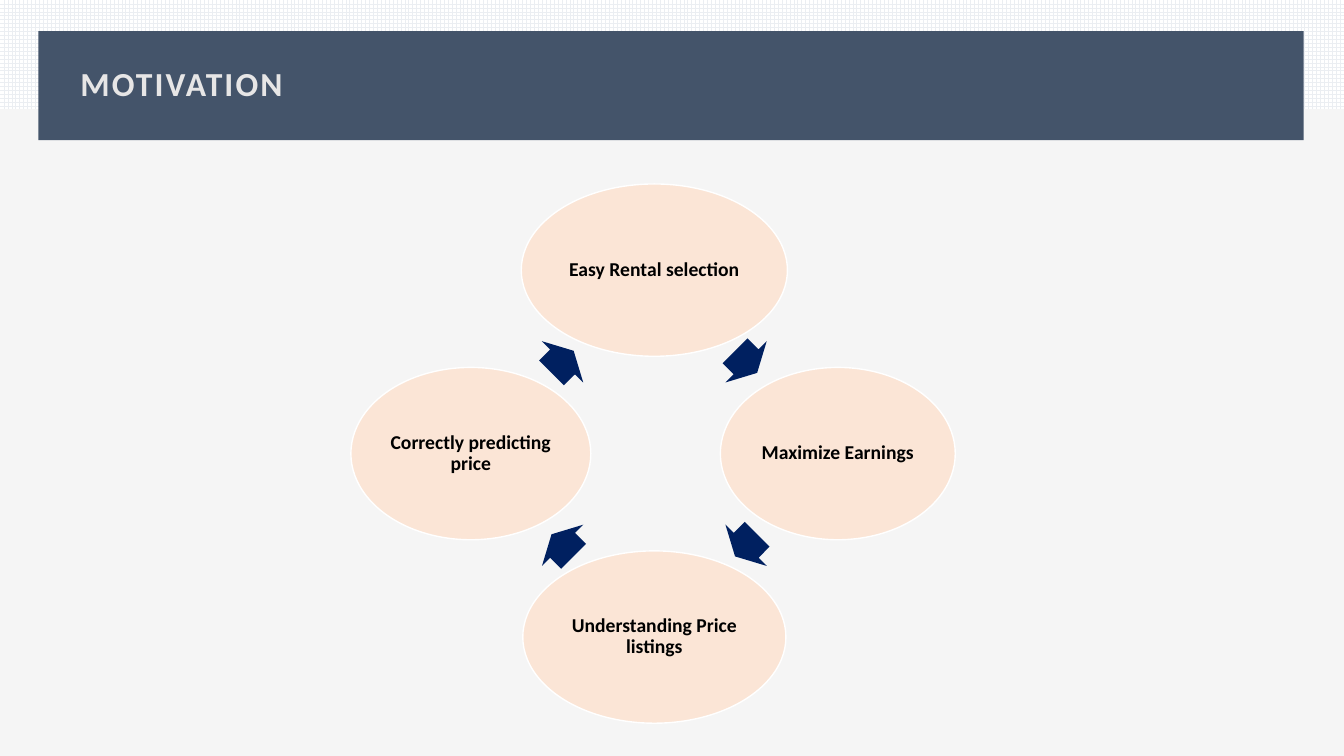
from dataclasses import dataclass
from math import cos, radians, sin, sqrt

from pptx import Presentation
from pptx.dml.color import RGBColor
from pptx.enum.dml import MSO_PATTERN
from pptx.enum.shapes import MSO_SHAPE
from pptx.enum.text import MSO_ANCHOR, PP_ALIGN
from pptx.util import Inches, Pt


@dataclass(frozen=True)
class Theme:
    font: str = "Calibri"
    background: str = "F5F5F5"
    grid: str = "EBEEF2"
    white: str = "FFFFFF"
    banner: str = "44546A"
    title: str = "E7E6E6"
    step: str = "FBE5D6"
    step_text: str = "000000"
    arrow: str = "002060"
    title_size: int = 24
    step_size: int = 14


THEME = Theme()

CYCLE_X, CYCLE_Y = 6.49, 4.5
CYCLE_RADIUS = 1.82
ARROW_RADIUS = CYCLE_RADIUS / sqrt(2)
STEP_HEIGHT = 1.71
ARROW_SIZE = (0.31, 0.58)

# Clockwise from the top: label and ellipse width in inches
STEPS = [
    ("Easy Rental selection", 2.64),
    ("Maximize Earnings", 2.33),
    ("Understanding Price listings", 2.61),
    ("Correctly predicting price", 2.38),
]


def rgb(value):
    return RGBColor.from_string(value)


def add_shape(slide, kind, left, top, width, height, fill):
    sp = slide.shapes.add_shape(
        kind, Inches(left), Inches(top), Inches(width), Inches(height))
    sp.shadow.inherit = False
    sp.fill.solid()
    sp.fill.fore_color.rgb = rgb(fill)
    sp.line.fill.background()
    return sp


def add_on_cycle(slide, kind, angle, radius, width, height, fill):
    """Centre a shape on the cycle; angles run clockwise from the right."""
    x = CYCLE_X + radius * cos(radians(angle))
    y = CYCLE_Y + radius * sin(radians(angle))
    return add_shape(
        slide, kind, x - width / 2, y - height / 2, width, height, fill)


def write(sp, text, size, color, align):
    tf = sp.text_frame
    tf.word_wrap = True
    tf.vertical_anchor = MSO_ANCHOR.MIDDLE
    p = tf.paragraphs[0]
    p.alignment = align
    p.line_spacing = 0.9
    r = p.add_run()
    r.text = text
    r.font.name = THEME.font
    r.font.size = Pt(size)
    r.font.bold = True
    r.font.color.rgb = rgb(color)
    return r


def add_grid_strip(slide):
    sp = add_shape(slide, MSO_SHAPE.RECTANGLE, 0, 0, 13.33, 1.08, THEME.white)
    sp.fill.patterned()
    sp.fill.pattern = MSO_PATTERN.LARGE_GRID
    sp.fill.fore_color.rgb = rgb(THEME.grid)
    sp.fill.back_color.rgb = rgb(THEME.white)


def add_title(slide, text):
    add_shape(slide, MSO_SHAPE.RECTANGLE, 0.38, 0.31, 12.55, 1.08, THEME.banner)
    box = slide.shapes.add_textbox(
        Inches(0.7), Inches(0.53), Inches(11.93), Inches(0.64))
    r = write(box, text, THEME.title_size, THEME.title, PP_ALIGN.LEFT)
    r.font._element.set("spc", "150")


def add_step(slide, text, angle, width):
    sp = add_on_cycle(slide, MSO_SHAPE.OVAL, angle, CYCLE_RADIUS,
                      width, STEP_HEIGHT, THEME.step)
    sp.line.color.rgb = rgb(THEME.white)
    sp.line.width = Pt(1)
    tf = sp.text_frame
    tf.margin_left = tf.margin_right = Inches(0.02)
    tf.margin_top = tf.margin_bottom = Inches(0.02)
    write(sp, text, THEME.step_size, THEME.step_text, PP_ALIGN.CENTER)


def add_arrow(slide, angle):
    """Add an arrow that points clockwise along the cycle."""
    sp = add_on_cycle(slide, MSO_SHAPE.RIGHT_ARROW, angle, ARROW_RADIUS,
                      *ARROW_SIZE, THEME.arrow)
    sp.adjustments[0] = 0.6
    sp.adjustments[1] = 0.5
    sp.rotation = (angle + 90) % 360


def main():
    prs = Presentation()
    prs.slide_width = Inches(13.33)
    prs.slide_height = Inches(7.5)
    slide = prs.slides.add_slide(prs.slide_layouts[6])
    slide.background.fill.solid()
    slide.background.fill.fore_color.rgb = rgb(THEME.background)

    add_grid_strip(slide)
    add_title(slide, "MOTIVATION")
    turn = 360 / len(STEPS)
    for i, (text, width) in enumerate(STEPS):
        angle = -90 + i * turn
        add_step(slide, text, angle, width)
        add_arrow(slide, angle + turn / 2)

    prs.save("out.pptx")


if __name__ == "__main__":
    main()
